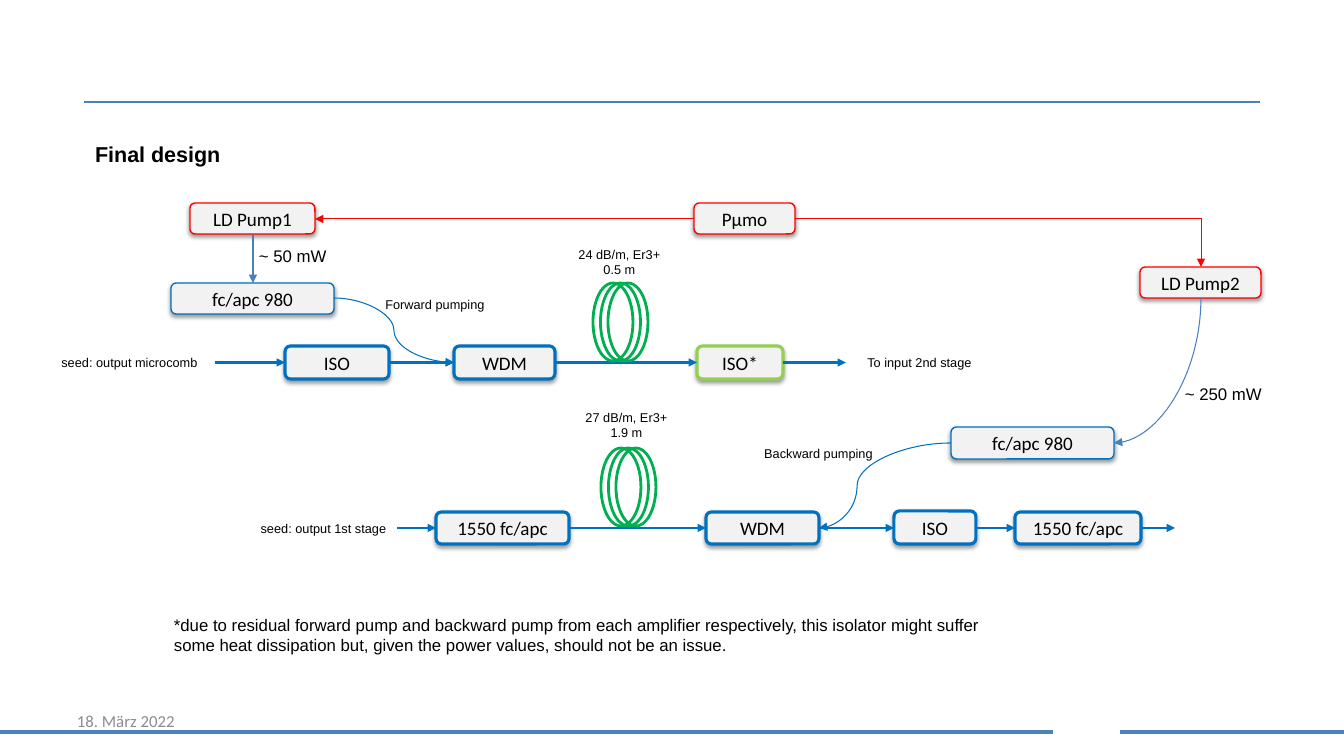
from lxml import etree
from pptx import Presentation
from pptx.dml.color import RGBColor
from pptx.enum.shapes import MSO_CONNECTOR, MSO_SHAPE
from pptx.enum.text import MSO_ANCHOR, PP_ALIGN
from pptx.oxml import parse_xml
from pptx.oxml.ns import nsdecls, qn
from pptx.util import Pt

PX = 914400 / 100.8
BLACK = RGBColor(0x00, 0x00, 0x00)
GREY = RGBColor(0x8C, 0x8C, 0x8C)
PALE = RGBColor(0xF2, 0xF2, 0xF2)
BLUE = RGBColor(0x00, 0x70, 0xC0)
RULE = RGBColor(0x4F, 0x81, 0xBD)
STEEL = RGBColor(0x4B, 0x7E, 0xBC)
RED = RGBColor(0xFF, 0x00, 0x00)
LIME = RGBColor(0x92, 0xD0, 0x50)
GREEN = RGBColor(0x00, 0xB0, 0x50)
STRAIGHT, ELBOW, CURVE = MSO_CONNECTOR.STRAIGHT, MSO_CONNECTOR.ELBOW, MSO_CONNECTOR.CURVE
ROUNDED, OVAL = MSO_SHAPE.ROUNDED_RECTANGLE, MSO_SHAPE.OVAL
TOP, MIDDLE = MSO_ANCHOR.TOP, MSO_ANCHOR.MIDDLE
LEFT, CENTER, JUSTIFY = PP_ALIGN.LEFT, PP_ALIGN.CENTER, PP_ALIGN.JUSTIFY
SHADOW = (
    f'<a:effectLst {nsdecls("a")}><a:outerShdw blurRad="39370" dist="20320" dir="5400000" '
    'rotWithShape="0"><a:srgbClr val="000000"><a:alpha val="38000"/></a:srgbClr>'
    '</a:outerShdw></a:effectLst>'
)

deck = Presentation()
deck.slide_width, deck.slide_height = round(1344 * PX), round(756 * PX)
slide = deck.slides.add_slide(deck.slide_layouts[5])
shapes = slide.shapes


def write(frame, text, size, align=LEFT, anchor=TOP, color=BLACK, font="Arial",
          bold=False, wrap=True, spacing=None):
    frame.word_wrap, frame.vertical_anchor = wrap, anchor
    frame.text = text
    for paragraph in frame.paragraphs:
        paragraph.alignment, paragraph.line_spacing = align, spacing
        paragraph.font.color.rgb = color
        values = {"size": Pt(size), "name": font, "bold": bold}
        for attribute, value in values.items():
            setattr(paragraph.font, attribute, value)


def connect(kind, points, color, width, arrow="tailEnd", preset=None, bend=None):
    link = shapes.add_connector(kind, *(round(p * PX) for p in points))
    link.line.color.rgb, link.line.width = color, Pt(width)
    properties = link._element.spPr
    if arrow:
        etree.SubElement(properties.find(qn("a:ln")), qn(arrow), type="triangle") \
            if ":" in arrow else etree.SubElement(
                properties.find(qn("a:ln")), qn("a:" + arrow), type="triangle")
    etree.SubElement(properties, qn("a:effectLst"))
    geometry = properties.find(qn("a:prstGeom"))
    if preset:
        geometry.set("prst", preset)
    if bend:
        etree.SubElement(geometry.find(qn("a:avLst")), qn("a:gd"),
                         name="adj1", fmla=f"val {bend}")


# Page rules
for x1, x2, y, color, width in [
    (0, 1053, 732, RULE, 2.25),
    (84, 1260, 102, STEEL, 0.75),
    (1120, 1344, 732, RULE, 2.25),
]:
    connect(STRAIGHT, (x1, y, x2, y), color, width, arrow=None)

# Title
title = shapes.title
for side, value in {"left": 85, "top": 123, "width": 826, "height": 89}.items():
    setattr(title, side, round(value * PX))
write(title.text_frame, "Final design", 15.4, JUSTIFY, bold=True, spacing=1.5)

# Optical components
PUMP_TOP, STAGE1_TOP, STAGE2_TOP = 203, 346, 512
for text, x, y, w, h, color, width in [
    ("LD Pump1", 190, PUMP_TOP, 125, 31, RED, 1),
    ("Pµmo", 694, PUMP_TOP, 101, 31, RED, 1),
    ("LD Pump2", 1140, 267, 121, 31, RED, 1),
    ("fc/apc 980", 171, 283, 163, 31, BLUE, 1),
    ("fc/apc 980", 951, 427, 163, 32, BLUE, 1),
    ("ISO", 285, STAGE1_TOP, 104, 33, BLUE, 2.25),
    ("WDM", 454, STAGE1_TOP, 101, 33, BLUE, 2.25),
    ("ISO*", 697, STAGE1_TOP, 86, 33, LIME, 2.25),
    ("1550 fc/apc", 436, STAGE2_TOP, 133, 32, BLUE, 2.25),
    ("WDM", 706, STAGE2_TOP, 113, 32, BLUE, 2.25),
    ("ISO", 894, STAGE2_TOP - 1, 82, 33, BLUE, 2.25),
    ("1550 fc/apc", 1015, STAGE2_TOP, 126, 32, BLUE, 2.25),
]:
    component = shapes.add_shape(ROUNDED, *(round(v * PX) for v in (x, y, w, h)))
    component.fill.solid()
    component.fill.fore_color.rgb = PALE
    component.line.color.rgb, component.line.width = color, Pt(width)
    component._element.spPr.append(parse_xml(SHADOW))
    write(component.text_frame, text, 13.6, CENTER, MIDDLE, font="Calibri", wrap=False)

# Signal path of each stage
STAGE1_AXIS, STAGE2_AXIS = 362.5, 528
for axis, spans in [
    (STAGE1_AXIS, [(215, 285), (389, 454), (555, 697), (783, 846)]),
    (STAGE2_AXIS, [(397, 436), (569, 706), (819, 894), (976, 1015), (1141, 1175)]),
]:
    for start, end in spans:
        connect(STRAIGHT, (start, axis, end, axis), BLUE, 1.5)

# Pump control and pump light
connect(STRAIGHT, (694, 219, 315, 219), RED, 0.75)
connect(ELBOW, (795, 219, 1201, 267), RED, 0.75, preset="bentConnector2")
connect(STRAIGHT, (253, 235, 253, 283), STEEL, 0.75)
connect(CURVE, (334, 298, 454, STAGE1_AXIS), BLUE, 0.75)
connect(CURVE, (951, 443, 819, STAGE2_AXIS), BLUE, 0.75, bend=71100)
connect(CURVE, (1114, 443, 1201, 298), STEEL, 0.75, arrow="headEnd",
        preset="curvedConnector2")

# Erbium fibre coils
for left, top in [(593, 283), (601, 448)]:
    for turn in range(3):
        loop = shapes.add_shape(
            OVAL, *(round(v * PX) for v in (left + 7.5 * turn, top, 40, 78)))
        loop.fill.background()
        loop.line.color.rgb, loop.line.width = GREEN, Pt(2)
        loop.shadow.inherit = False

# Labels, footnote and date
small = {"size": 9.1, "align": CENTER}
power = {"size": 12, "wrap": False}
for text, x, y, w, h, style in [
    ("seed: output microcomb", 45, 350, 169, 25, small),
    ("To input 2nd stage", 846, 350, 147, 25, small),
    ("seed: output 1st stage", 250, 516, 147, 25, small),
    ("Forward pumping", 374, 292, 122, 25, small),
    ("Backward pumping", 754, 441, 129, 25, small),
    ("24 dB/m, Er3+\n0.5 m", 546, 242, 147, 41, small),
    ("27 dB/m, Er3+\n1.9 m", 553, 405, 147, 41, small),
    ("~ 50 mW", 249, 241, 89, 30, power),
    ("~ 250 mW", 1175, 379, 98, 30, power),
    ("*due to residual forward pump and backward pump from each amplifier "
     "respectively, this isolator might suffer some heat dissipation but, given "
     "the power values, should not be an issue.", 164, 610, 866, 50, {"size": 12}),
    ("18. März 2022", 67, 701, 313, 40,
     {"size": 12, "anchor": MIDDLE, "color": GREY, "font": "Calibri"}),
]:
    label = shapes.add_textbox(*(round(v * PX) for v in (x, y, w, h)))
    write(label.text_frame, text, **style)

deck.save("out.pptx")
